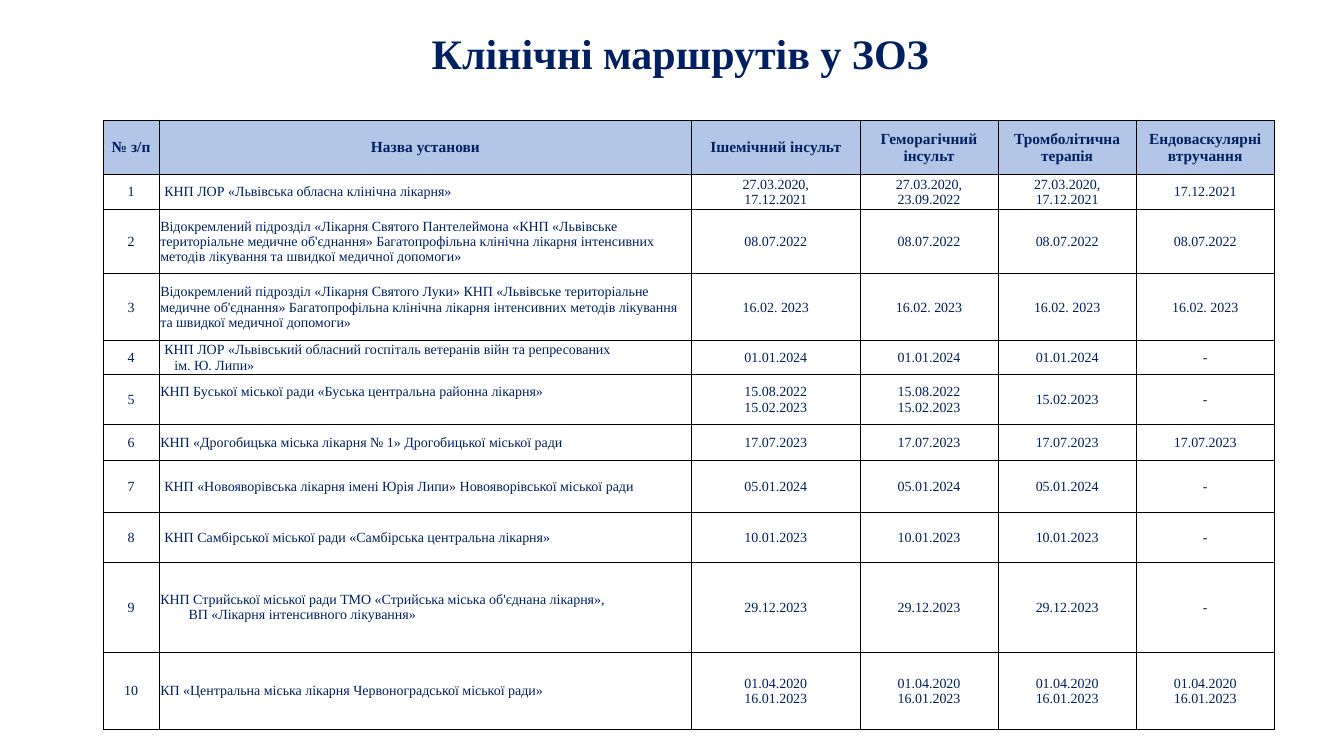
from lxml import etree
from pptx import Presentation
from pptx import util as u
from pptx.dml.color import RGBColor
from pptx.enum import text
from pptx.oxml.ns import qn

COLORS = {"navy": "002060", "header": "B4C6E7", "border": "000000"}
FONT = "Times New Roman"
COLUMN_WIDTHS = [0.56, 5.28, 1.67, 1.37, 1.37, 1.37]
ROW_HEIGHTS = [0.54, 0.33, 0.64, 0.66, 0.33, 0.49, 0.36, 0.52, 0.49, 0.89, 0.77]
HEADERS = ["№ з/п", "Назва установи", "Ішемічний інсульт", "Геморагічний інсульт",
           "Тромболітична терапія", "Ендоваскулярні втручання"]
# Institution, then the dates of its four routes; \v is a line break.
INSTITUTIONS = [
    ["КНП ЛОР «Львівська обласна клінічна лікарня»",
     "27.03.2020,\v17.12.2021", "27.03.2020,\v23.09.2022", "27.03.2020,\v17.12.2021", "17.12.2021"],
    ["Відокремлений підрозділ «Лікарня Святого Пантелеймона «КНП «Львівське територіальне "
     "медичне об'єднання» Багатопрофільна клінічна лікарня інтенсивних методів лікування "
     "та швидкої медичної допомоги»"] + ["08.07.2022"] * 4,
    ["Відокремлений підрозділ «Лікарня Святого Луки» КНП «Львівське територіальне "
     "медичне об'єднання» Багатопрофільна клінічна лікарня інтенсивних методів лікування "
     "та швидкої медичної допомоги»"] + ["16.02. 2023"] * 4,
    ["КНП ЛОР «Львівський обласний госпіталь ветеранів війн та репресованих\vім. Ю. Липи»"]
    + ["01.01.2024"] * 3 + ["-"],
    ["КНП Буської міської ради «Буська центральна районна лiкарня»"]
    + ["15.08.2022\v15.02.2023"] * 2 + ["15.02.2023", "-"],
    ["КНП «Дрогобицька міська лікарня № 1» Дрогобицької міської ради"] + ["17.07.2023"] * 4,
    ["КНП «Новояворівська лікарня імені Юрія Липи» Новояворівської міської ради"]
    + ["05.01.2024"] * 3 + ["-"],
    ["КНП Самбірської міської ради «Самбірська центральна лікарня»"] + ["10.01.2023"] * 3 + ["-"],
    ["КНП Стрийської міської ради ТМО «Стрийська міська об'єднана лікарня»,\v"
     "ВП «Лікарня інтенсивного лікування»"] + ["29.12.2023"] * 3 + ["-"],
    ["КП «Центральна міська лікарня Червоноградської міської ради»"]
    + ["01.04.2020\v16.01.2023"] * 4,
]
# Row number: (left indent of the first line, of the following lines)
NAME_INDENTS = {1: (0.04, 0.04), 4: (0.04, 0.14), 7: (0.04, 0.04), 8: (0.04, 0.04), 9: (0, 0.28)}
RAISED_ROW = 5


def style_paragraph(para, size, bold=False, align=text.PP_ALIGN.CENTER):
    para.alignment = align
    para.font.name = FONT
    para.font.size = u.Pt(size)
    para.font.bold = bold
    para.font.color.rgb = RGBColor.from_string(COLORS["navy"])


def add_title(slide, words):
    box = slide.shapes.add_textbox(u.Inches(0.87), u.Inches(0.05), u.Inches(11.76), u.Inches(1))
    frame = box.text_frame
    frame.word_wrap = True
    frame.vertical_anchor = text.MSO_ANCHOR.MIDDLE
    para = frame.paragraphs[0]
    para.text = words
    para.line_spacing = 0.9
    style_paragraph(para, 30, bold=True)


def add_borders(cell):
    properties = cell._tc.get_or_add_tcPr()
    for side in ("lnL", "lnR", "lnT", "lnB"):
        line = etree.SubElement(properties, qn(f"a:{side}"), w=str(u.Pt(0.5)))
        fill = etree.SubElement(line, qn("a:solidFill"))
        etree.SubElement(fill, qn("a:srgbClr"), val=COLORS["border"])


def indent_lines(para, first, following):
    properties = para._p.get_or_add_pPr()
    properties.set("marL", str(u.Inches(following)))
    properties.set("indent", str(u.Inches(first) - u.Inches(following)))


def fill_cell(cell, words, is_header, is_name):
    cell.margin_left = cell.margin_right = cell.margin_top = u.Inches(0.01)
    cell.margin_bottom = 0
    cell.vertical_anchor = text.MSO_ANCHOR.MIDDLE
    add_borders(cell)
    if is_header:
        cell.fill.solid()
        cell.fill.fore_color.rgb = RGBColor.from_string(COLORS["header"])
    else:
        cell.fill.background()
    para = cell.text_frame.paragraphs[0]
    para.text = words
    align = text.PP_ALIGN.LEFT if is_name else text.PP_ALIGN.CENTER
    style_paragraph(para, 11 if is_header else 10, is_header, align)


def add_routes_table(slide):
    rows = [HEADERS] + [[str(n), *entry] for n, entry in enumerate(INSTITUTIONS, 1)]
    table = slide.shapes.add_table(
        len(rows), len(HEADERS), u.Inches(1.02), u.Inches(1.19),
        u.Inches(sum(COLUMN_WIDTHS)), u.Inches(sum(ROW_HEIGHTS))).table
    table.horz_banding = False
    for column, width in zip(table.columns, COLUMN_WIDTHS):
        column.width = u.Inches(width)
    for r, (row, height) in enumerate(zip(rows, ROW_HEIGHTS)):
        table.rows[r].height = u.Inches(height)
        for c, words in enumerate(row):
            fill_cell(table.cell(r, c), words, r == 0, r > 0 and c == 1)
    for r, indents in NAME_INDENTS.items():
        indent_lines(table.cell(r, 1).text_frame.paragraphs[0], *indents)
    table.cell(RAISED_ROW, 1).margin_bottom = u.Inches(0.16)


def main():
    deck = Presentation()
    deck.slide_width, deck.slide_height = u.Inches(13.33), u.Inches(7.5)
    slide = deck.slides.add_slide(deck.slide_layouts[6])
    add_title(slide, "Клінічні маршрутів у ЗОЗ")
    add_routes_table(slide)
    deck.save("out.pptx")


if __name__ == "__main__":
    main()
